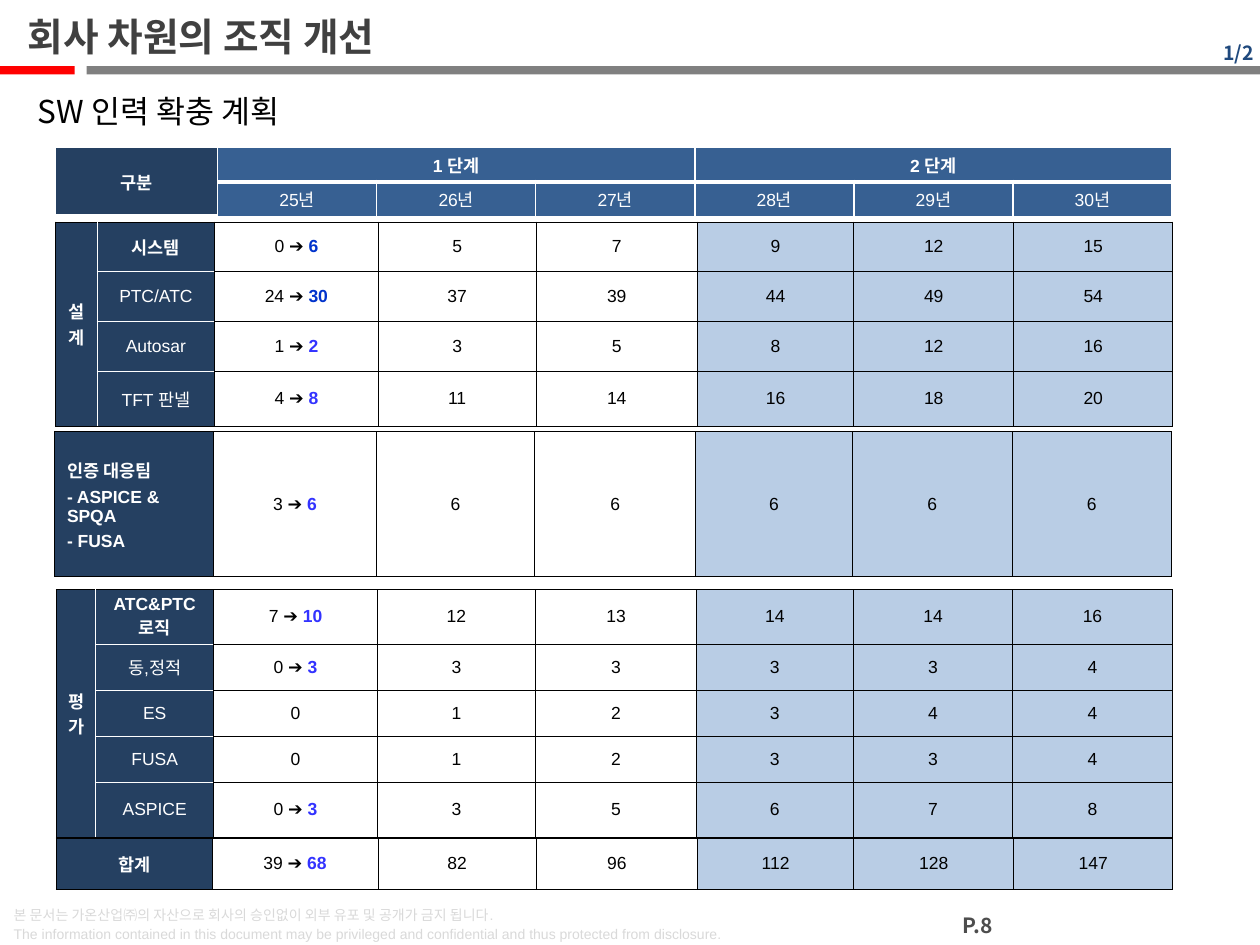
from lxml import etree
from pptx import Presentation
from pptx.dml.color import RGBColor
from pptx.enum import shapes as s, text as t
from pptx.oxml.ns import qn
from pptx.util import Pt

WHITE = RGBColor(0xFF, 0xFF, 0xFF)
BLACK = RGBColor(0, 0, 0)
RED = RGBColor(0xFF, 0, 0)
GRAY = RGBColor(0x80, 0x80, 0x80)
PALE = RGBColor(0xD9, 0xD9, 0xD9)
DARK = RGBColor(0x40, 0x40, 0x40)
PAGE = RGBColor(0x4D, 0x4D, 0x4D)
INK = RGBColor(0x1F, 0x49, 0x7D)
NAVY = RGBColor(0x25, 0x40, 0x61)
STEEL = RGBColor(0x37, 0x60, 0x92)
SKY = RGBColor(0xB9, 0xCD, 0xE5)
BLUE = RGBColor(0, 0x33, 0xCC)
VIVID = RGBColor(0x33, 0x33, 0xFF)
NOTO = "Noto Sans CJK KR"
MID = t.MSO_ANCHOR.MIDDLE
LEFT, CENTER, RIGHT = t.PP_ALIGN.LEFT, t.PP_ALIGN.CENTER, t.PP_ALIGN.RIGHT


def write(frame, lines, size, color, bold=False, face="Arial", align=LEFT):
    for i, line in enumerate(lines):
        para = frame.paragraphs[0] if i == 0 else frame.add_paragraph()
        para.text = line
        para.alignment = align
        font = para.font
        font.name, font.size, font.bold = face, Pt(size), bold
        font.color.rgb = color


def style(cell, fill, edges, widths):
    """Edges and widths run left, right, top, bottom."""
    props = cell._tc.get_or_add_tcPr()
    for side, color, width in zip("LRTB", edges, widths):
        line = etree.SubElement(props, qn("a:ln" + side), w=str(Pt(width)))
        solid = etree.SubElement(line, qn("a:solidFill"))
        etree.SubElement(solid, qn("a:srgbClr"), val=str(color))
    if fill is None:
        cell.fill.background()
    else:
        cell.fill.solid()
        cell.fill.fore_color.rgb = fill
    cell.vertical_anchor = MID
    cell.margin_top = cell.margin_bottom = Pt(2.5)


prs = Presentation()
prs.slide_width, prs.slide_height = Pt(720), Pt(540)
slide = prs.slides.add_slide(prs.slide_layouts[6])
items = slide.shapes

# Title rule
for x, wide, color in ((0, 42.75, RED), (49.5, 670.5, GRAY)):
    bar = items.add_shape(s.MSO_SHAPE.RECTANGLE, Pt(x), Pt(37.8), Pt(wide), Pt(4.8))
    bar.shadow.inherit = False
    bar.fill.solid()
    bar.fill.fore_color.rgb = color
    bar.line.fill.background()

# Footer, page number, subtitle and title
notice = ["본 문서는 가온산업㈜의 자산으로 회사의 승인없이 외부 유포 및 공개가 금지 됩니다.",
          "The information contained in this document may be privileged and "
          "confidential and thus protected from disclosure."]
texts = [
    ((0.7, 513, 533, 29.5), notice, 8, PALE, False, "Arial", LEFT),
    ((530, 517.7, 57, 22.3), ["P.8"], 12, PAGE, True, NOTO, CENTER),
    ((14.4, 49, 362, 28), ["SW 인력 확충 계획"], 18, BLACK, False, NOTO, LEFT),
    ((14.4, 3.6, 436, 33.8), ["회사 차원의 조직 개선"], 22.1, DARK, True, NOTO, LEFT),
]
for box, lines, size, color, bold, face, align in texts:
    frame = items.add_textbox(*map(Pt, box)).text_frame
    frame.word_wrap = True
    write(frame, lines, size, color, bold, face, align)
    if lines is notice:
        for para in frame.paragraphs:
            para.line_spacing = Pt(11)
frame.vertical_anchor = MID
frame.margin_left = Pt(1.5)

# Part counter
tag = items.add_shape(s.MSO_SHAPE.ROUNDED_RECTANGLE, Pt(673.2), Pt(20.9), Pt(48.2), Pt(18.7))
tag.adjustments[0] = 0
tag.shadow.inherit = False
tag.fill.background()
tag.line.fill.background()
frame = tag.text_frame
frame.vertical_anchor = MID
frame.margin_left = frame.margin_right = Pt(5)
frame.margin_top = frame.margin_bottom = Pt(2.9)
write(frame, ["1/2"], 11.1, INK, True, NOTO, RIGHT)

# Tables: left, top, column widths, row heights, group name, rows
years = [90.5, 92, 89.5, 91.3, 91]
head = [["구분", "1 단계", "", "", "2 단계", "", ""],
        [""] + [f"{year}년" for year in range(25, 31)]]
design = [["시스템", "0 ➔ 6", 5, 7, 9, 12, 15],
          ["PTC/ATC", "24 ➔ 30", 37, 39, 44, 49, 54],
          ["Autosar", "1 ➔ 2", 3, 5, 8, 12, 16],
          ["TFT 판넬", "4 ➔ 8", 11, 14, 16, 18, 20]]
cert = [["인증 대응팀\n- ASPICE & SPQA\n- FUSA", "3 ➔ 6", 6, 6, 6, 6, 6]]
test = [["ATC&PTC로직", "7 ➔ 10", 12, 13, 14, 14, 16],
        ["동,정적", "0 ➔ 3", 3, 3, 3, 3, 4],
        ["ES", "0", 1, 2, 3, 4, 4],
        ["FUSA", "0", 1, 2, 3, 3, 4],
        ["ASPICE", "0 ➔ 3", 3, 5, 6, 7, 8]]
total = [["합계", "39 ➔ 68", 82, 96, 112, 128, 147]]
grids = [
    (31.8, 84.3, [92.6] + [90.9] * 6, [19.7] * 2, "", head),
    (31.8, 126.9, [23.6, 67.4, 93.2] + years, [28.4] * 3 + [31.4], "설계", design),
    (31.1, 246.6, [91, 93] + years, [82.8], "", cert),
    (32.2, 336.8, [22.4, 67.6, 93.4] + years, [31.4] + [26.3] * 3 + [31.4], "평가", test),
    (32.2, 479, [88.9, 94.9] + years, [29.3], "", total),
]
for x, y, wide, high, group, rows in grids:
    grid = items.add_table(len(high), len(wide), Pt(x), Pt(y), Pt(sum(wide)), Pt(sum(high))).table
    grid.first_row = grid.horz_banding = False
    for col, size in zip(grid.columns, wide):
        col.width = Pt(size)
    for row, size in zip(grid.rows, high):
        row.height = Pt(size)
    last = len(rows) - 1
    shift = 1 if group else 0

    # Group name down the left side
    if group:
        for r in range(last + 1):
            style(grid.cell(r, 0), NAVY, [BLACK, WHITE, BLACK, BLACK], [0.5] * 4)
        grid.cell(0, 0).merge(grid.cell(last, 0))
        write(grid.cell(0, 0).text_frame, [group], 10, WHITE, True, align=CENTER)

    for r, row in enumerate(rows):
        for c, value in enumerate(row):
            cell = grid.cell(r, c + shift)
            frame = cell.text_frame
            value = str(value)
            if rows is head:
                fill = STEEL if c else NAVY
                style(cell, fill, [WHITE] * 4, [1, 1, 1, 1 if r else 3])
                if value:
                    write(frame, [value], 10, WHITE, r == 0, align=CENTER)
            elif c == 0:
                edges = [BLACK] * 4
                if group:
                    edges = [WHITE, BLACK, WHITE if r else BLACK, BLACK if r == last else WHITE]
                style(cell, NAVY, edges, [0.5] * 4)
                side = LEFT if rows is cert else CENTER
                write(frame, value.split("\n"), 10, WHITE, r == 0, align=side)
                for para in frame.paragraphs[1:]:
                    para.space_before = Pt(3)
            else:
                style(cell, SKY if c > 3 else None, [BLACK] * 4, [0.5] * 4)
                old, arrow, new = value.partition(" ➔ ")
                write(frame, [old + arrow], 10, BLACK, align=CENTER)
                if new:
                    run = frame.paragraphs[0].add_run()
                    run.text = new
                    run.font.bold = True
                    run.font.color.rgb = BLUE if rows is design and r < 2 else VIVID

    # Heading spans
    if rows is head:
        for top, left, low, right in ((0, 0, 1, 0), (0, 1, 0, 3), (0, 4, 0, 6)):
            grid.cell(top, left).merge(grid.cell(low, right))

prs.save("out.pptx")
